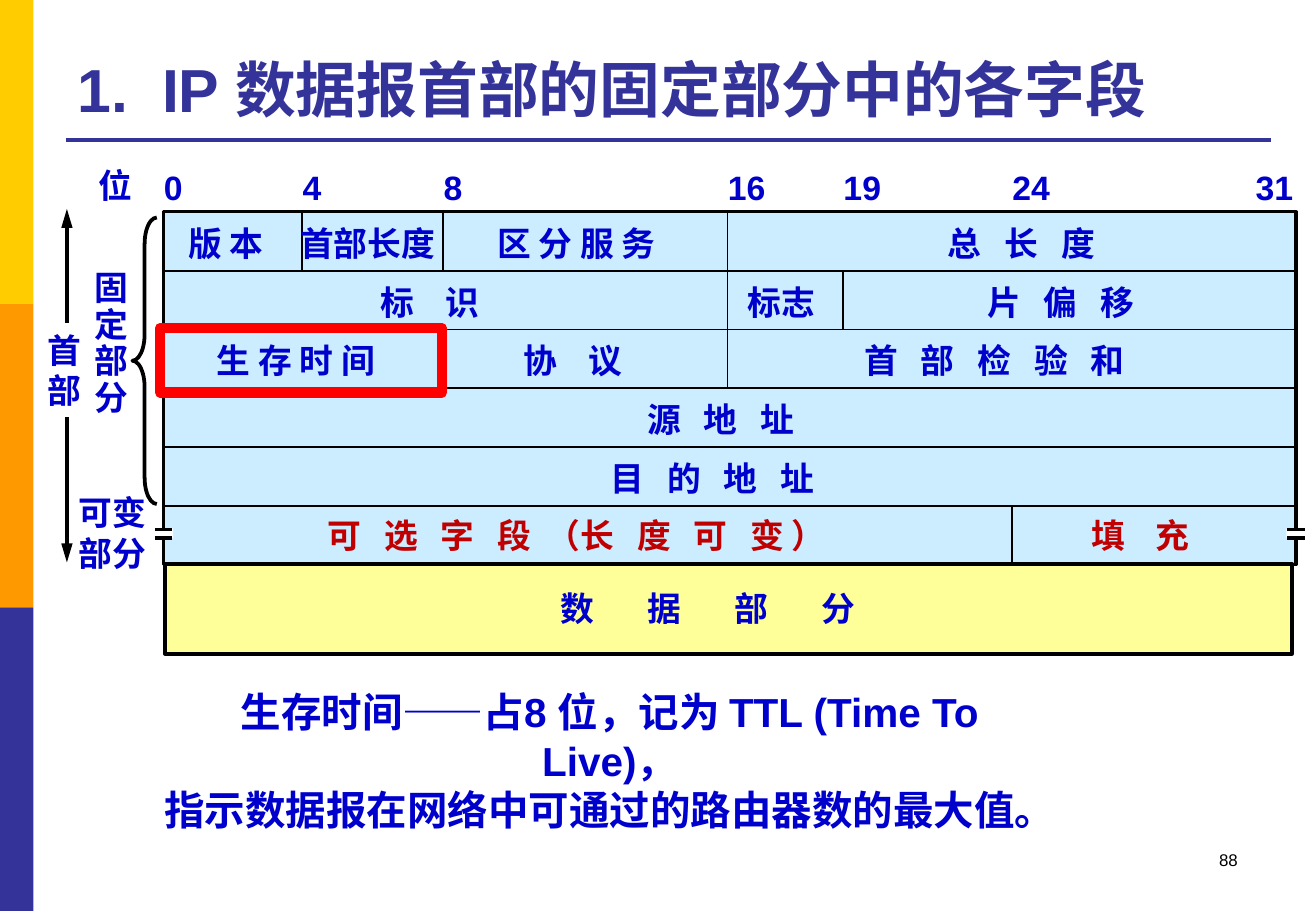
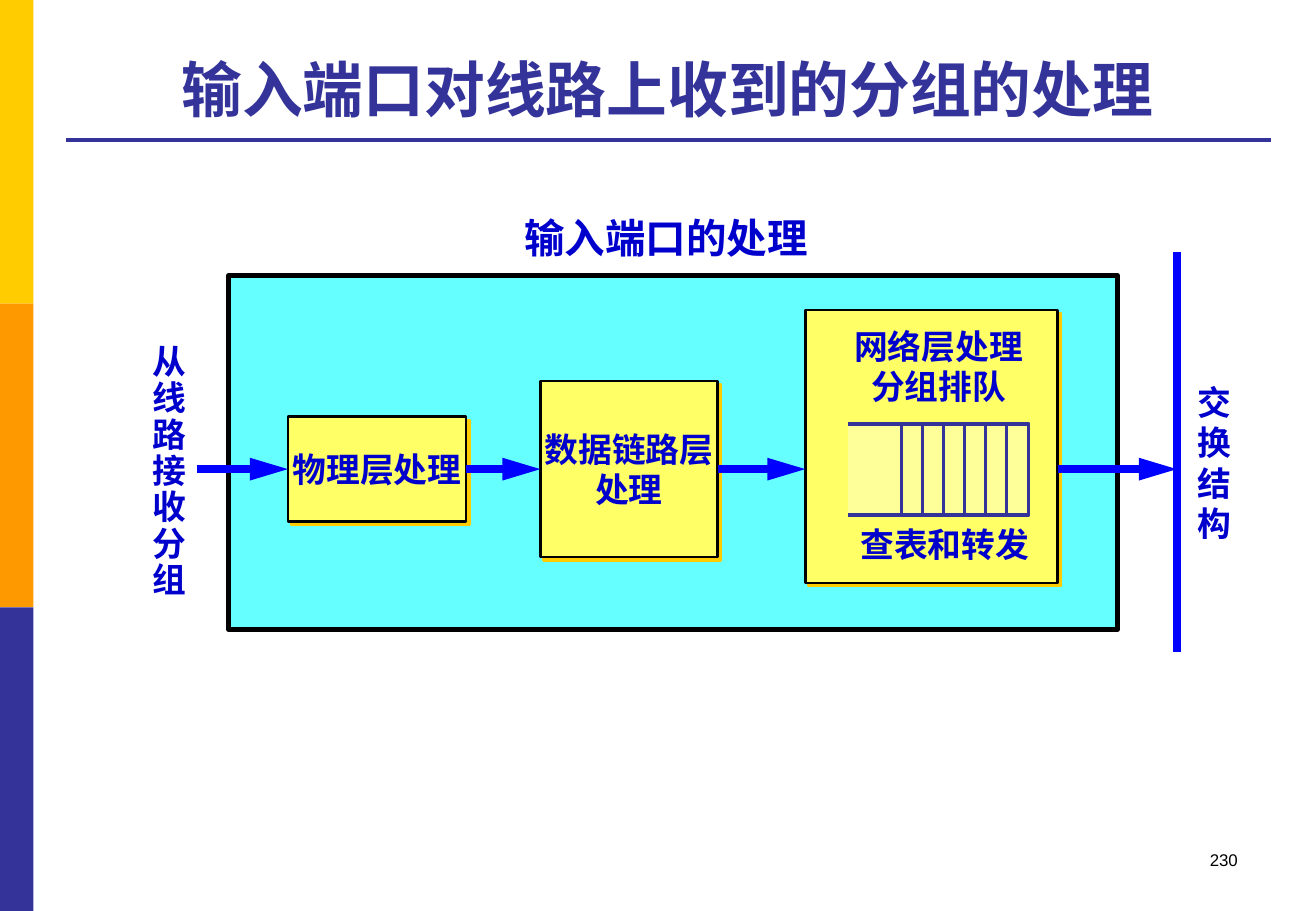
from pptx import Presentation
from pptx.dml.color import RGBColor
from pptx.enum.shapes import MSO_CONNECTOR, MSO_SHAPE
from pptx.enum.text import MSO_ANCHOR, MSO_AUTO_SIZE, PP_ALIGN as Align
from pptx.oxml.ns import qn
from pptx.oxml.xmlchemy import OxmlElement as new_element
from pptx.util import Cm, Pt

INK, NAVY, RED_TEXT, BLACK = "0000CC", "333399", "C00000", "000000"
GOLD, ORANGE, WHITE, BLUE, RED = "FFCC00", "FF9900", "FFFFFF", "0000FF", "FF0000"
SKY, CREAM, CYAN, YELLOW = "CCECFF", "FFFF99", "66FFFF", "FFFF66"


def rgb(value):
    return RGBColor.from_string(value)


class Deck:
    """Holds the presentation, its style and the slide being drawn."""
    font = "Arial"

    def __init__(self):
        self.deck = Presentation()
        self.deck.slide_width, self.deck.slide_height = Cm(27.52), Cm(19.05)
        self.layout = self.deck.slide_layouts[5]
        self.slide = None

    def new_slide(self, title_runs, number, align):
        first = self.slide is None
        self.slide = self.deck.slides.add_slide(self.layout)
        if first:
            self.decorate_layout()
        title = self.slide.shapes.title
        title.left, title.top, title.width, title.height = Cm(1.37), Cm(0.53), Cm(25.17), Cm(2.21)
        title.text_frame.vertical_anchor = MSO_ANCHOR.BOTTOM
        title.text_frame.auto_size = MSO_AUTO_SIZE.NONE
        self.set_text(title, [title_runs], 36, NAVY, align)
        self.label([number], 22.92, 17.65, 6.43, size=10, color=BLACK, align=Align.RIGHT, bold=False)

    def decorate_layout(self):
        """Draw the side bands and title rule, then move them to the layout."""
        parts = [self.shape(0, 6.35 * i, 0.7, 6.35, color)
                 for i, color in enumerate((GOLD, ORANGE, NAVY))]
        parts.append(self.line(1.37, 2.92, 26.57, 2.92, NAVY, 2.25))
        for i, part in enumerate(parts):
            part.element.xpath(".//p:cNvPr")[0].set("id", str(100 + i))
            self.layout.shapes.element.append(part.element)

    def set_text(self, shape, lines, size, color, align=Align.CENTER, bold=True, spacing=1):
        """Fill a shape; a line is a string or a list of (text, tracking in points)."""
        frame = shape.text_frame
        frame.word_wrap = True
        for i, line in enumerate(lines):
            para = frame.add_paragraph() if i else frame.paragraphs[0]
            para.alignment = align
            para.line_spacing = spacing
            para.space_before = Pt(0)
            for text, tracking in ([(line, 0)] if isinstance(line, str) else line):
                if text == "\n":
                    para.add_line_break()
                    continue
                span = para.add_run()
                span.text = text
                font = span.font
                font.name, font.size, font.bold = self.font, Pt(size), bold
                font.color.rgb = rgb(color)
                if tracking:
                    span.font._element.set("spc", str(int(tracking * 100)))

    def label(self, lines, center, top, width, size=20, color=INK, **style):
        height = 0.043 * size * len(lines) + 0.24
        box = self.slide.shapes.add_textbox(Cm(center - width / 2), Cm(top), Cm(width), Cm(height))
        self.set_text(box, lines, size, color, **style)

    def paint(self, shape, fill, line, weight):
        shape.shadow.inherit = False
        if fill:
            shape.fill.solid()
            shape.fill.fore_color.rgb = rgb(fill)
        else:
            shape.fill.background()
        if line:
            shape.line.color.rgb = rgb(line)
            shape.line.width = Pt(weight)
        else:
            shape.line.fill.background()
        return shape

    def shape(self, left, top, width, height, fill=None, line=None, weight=1, kind=MSO_SHAPE.RECTANGLE):
        shape = self.slide.shapes.add_shape(kind, Cm(left), Cm(top), Cm(width), Cm(height))
        return self.paint(shape, fill, line, weight)

    def stage(self, left, top, width, height, lines=()):
        """A yellow processing box with a hard gold shadow."""
        box = self.shape(left, top, width, height, YELLOW, BLACK, 1.5)
        shadow = new_element("a:outerShdw")
        for name, value in (("dist", Pt(2.8)), ("dir", 45 * 60000), ("algn", "ctr"), ("rotWithShape", 0)):
            shadow.set(name, str(int(value)) if name != "algn" else value)
        color = new_element("a:srgbClr")
        color.set("val", GOLD)
        shadow.append(color)
        box.element.spPr.find(qn("a:effectLst")).append(shadow)
        frame = box.text_frame
        frame.margin_left = frame.margin_right = 0
        frame.vertical_anchor = MSO_ANCHOR.MIDDLE
        self.set_text(box, lines, 20, INK)
        return box

    def open_outline(self, points, fill, line, weight):
        (x, y), *others = [(Cm(px), Cm(py)) for px, py in points]
        builder = self.slide.shapes.build_freeform(x, y)
        builder.add_line_segments(others, close=False)
        return self.paint(builder.convert_to_shape(), fill, line, weight)

    def line(self, x1, y1, x2, y2, color=BLACK, weight=1, ends=()):
        """A straight line; ends may name headEnd and tailEnd arrowheads."""
        line = self.slide.shapes.add_connector(MSO_CONNECTOR.STRAIGHT, Cm(x1), Cm(y1), Cm(x2), Cm(y2))
        line.line.color.rgb = rgb(color)
        line.line.width = Pt(weight)
        for end in ends:
            arrow = new_element("a:" + end)
            for name, value in (("type", "triangle"), ("w", "med"), ("len", "lg")):
                arrow.set(name, value)
            line.element.spPr.get_or_add_ln().append(arrow)
        line.element.spPr.append(new_element("a:effectLst"))
        return line

    def save(self):
        self.deck.save("out.pptx")


def draw_header_slide(deck):
    deck.new_slide([("1.", 0), (" ", 10), ("IP 数据报首部的固定部分中的各字段", 0)], "88", Align.LEFT)
    top, row = 4.43, 1.23
    bit_x = {0: 3.42, 4: 6.32, 8: 9.27, 16: 15.21, 19: 17.63, 24: 21.16, 31: 26.25}
    left, right = bit_x[0], 27.1

    deck.label(["固", "定", "部", "分"], 2.34, 5.56, 1.4, spacing=0.9)
    deck.label(["可变", "部分"], 2.36, 10.16, 2.1)
    deck.label(["位"], 2.42, 3.33, 1.4)
    deck.shape(left, top, right - left, 6 * row, SKY, BLACK, 2)
    deck.shape(3.45, 11.79, 23.57, 1.88, CREAM, BLACK, 2.25)
    for i in range(1, 6):
        deck.line(left, top + i * row, right, top + i * row)
    for bit, first, last in ((4, 0, 1), (8, 0, 1), (8, 2, 3), (16, 0, 3), (19, 1, 2), (24, 5, 6)):
        deck.line(bit_x[bit], top + first * row, bit_x[bit], top + last * row)
    for bit, x in bit_x.items():
        deck.label([str(bit)], x + 0.51, 3.36, 1.5, align=Align.LEFT)

    wide, wider = 4.5, 6.75
    fields = [
        (0, 4.72, "版 本", 0), (0, 7.69, "首部长度", 0),
        (0, 12.06, "区 分 服 务", 0), (0, 21.36, "总 长 度", wide),
        (1, 8.99, "标 识", wider), (1, 16.35, "标志", 0), (1, 22.18, "片 偏 移", wide),
        (2, 6.19, "生 存 时 间", 0), (2, 11.98, "协 议", wider), (2, 20.8, "首 部 检 验 和", wide),
        (3, 15.07, "源 地 址", wide), (4, 14.9, "目 的 地 址", wide),
    ]
    for index, center, text, tracking in fields:
        deck.label([[(text, tracking)]], center, top + index * row + 0.1, 0.75 * len(text) + 0.8)
    options = [("可 选 字 段", wide), (" （", 0), ("长 度 可 变", wide), ("）", 0)]
    for runs, center, width in ((options, 12.06, 12), ([("填 充", wider)], 23.85, 3.2)):
        deck.label([runs], center, top + 5 * row + 0.07, width, color=RED_TEXT)
    deck.label([[("数 据 部 分", 13.5)]], 14.8, 12.17, 9)

    for x in (left, right):
        deck.shape(x - 0.2, 11.05, 0.4, 0.2, WHITE)
        for y in (11.07, 11.25):
            deck.line(x - 0.18, y, x + 0.18, y, weight=2)
    deck.line(1.4, 4.37, 1.4, 11.76, weight=2.25, ends=("headEnd", "tailEnd"))
    header = deck.shape(0.74, 6.76, 1.22, 1.96, WHITE)
    deck.set_text(header, ["首", "部"], 20, INK)
    brace = deck.shape(2.77, 4.55, 0.51, 5.99, None, BLACK, 2.25, MSO_SHAPE.LEFT_BRACE)
    brace.adjustments[0] = 1.08
    deck.label([[("生存时间——占8 位，记为 TTL (Time To", 0), ("\n", 0), ("Live)，", 0)],
                "指示数据报在网络中可通过的路由器数的最大值。"], 12.75, 14.25, 20, size=24)
    deck.shape(3.35, 6.86, 5.89, 1.35, None, RED, 6)


def draw_input_port_slide(deck):
    deck.new_slide([("输入端口对线路上收到的分组的处理", 0)], "230", Align.CENTER)
    axis, bus_x = 9.81, 24.61
    deck.shape(4.78, 5.77, 18.59, 7.39, CYAN, BLACK, 3)
    physical = deck.stage(6.02, axis - 1.1, 3.73, 2.2, ["物理层处理"])
    link = deck.stage(11.3, axis - 1.84, 3.71, 3.68, ["数据链路层", "处理"])
    deck.stage(16.84, 6.48, 5.28, 5.71)

    arrows = ((4.11, None, 6.02, physical), (9.75, physical, 11.3, link),
              (15.01, link, 16.84, None), (22.12, None, bus_x, None))
    for start, source, end, target in arrows:
        arrow = deck.line(start, axis, end, axis, BLUE, 4.5, ("tailEnd",))
        if source:
            arrow.begin_connect(source, 3)
        if target:
            arrow.end_connect(target, 1)
    deck.line(bus_x, 5.28, bus_x, 13.64, BLUE, 4.5)

    queue_top, queue_bottom = 8.86, 10.77
    deck.open_outline([(17.73, queue_top), (21.51, queue_top), (21.51, queue_bottom), (17.73, queue_bottom)],
                      CREAM, NAVY, 2.25)
    for i in range(6):
        x = 18.85 + 0.44 * i
        deck.line(x, queue_top, x, queue_bottom, NAVY, 2.25)

    deck.label(["网络层处理", "分组排队"], 19.63, 6.68, 4.2)
    deck.label(["查表和转发"], 19.76, 10.82, 4.2)
    deck.label(["交", "换", "结", "构"], 25.4, 7.85, 1.4)
    deck.label(["输入端口的处理"], 13.93, 4.32, 7, size=24)
    deck.label(["从", "线", "路", "接", "收", "分", "组"], 3.55, 7.09, 1.4, spacing=0.9)


def main():
    deck = Deck()
    draw_header_slide(deck)
    draw_input_port_slide(deck)
    deck.save()


if __name__ == "__main__":
    main()
